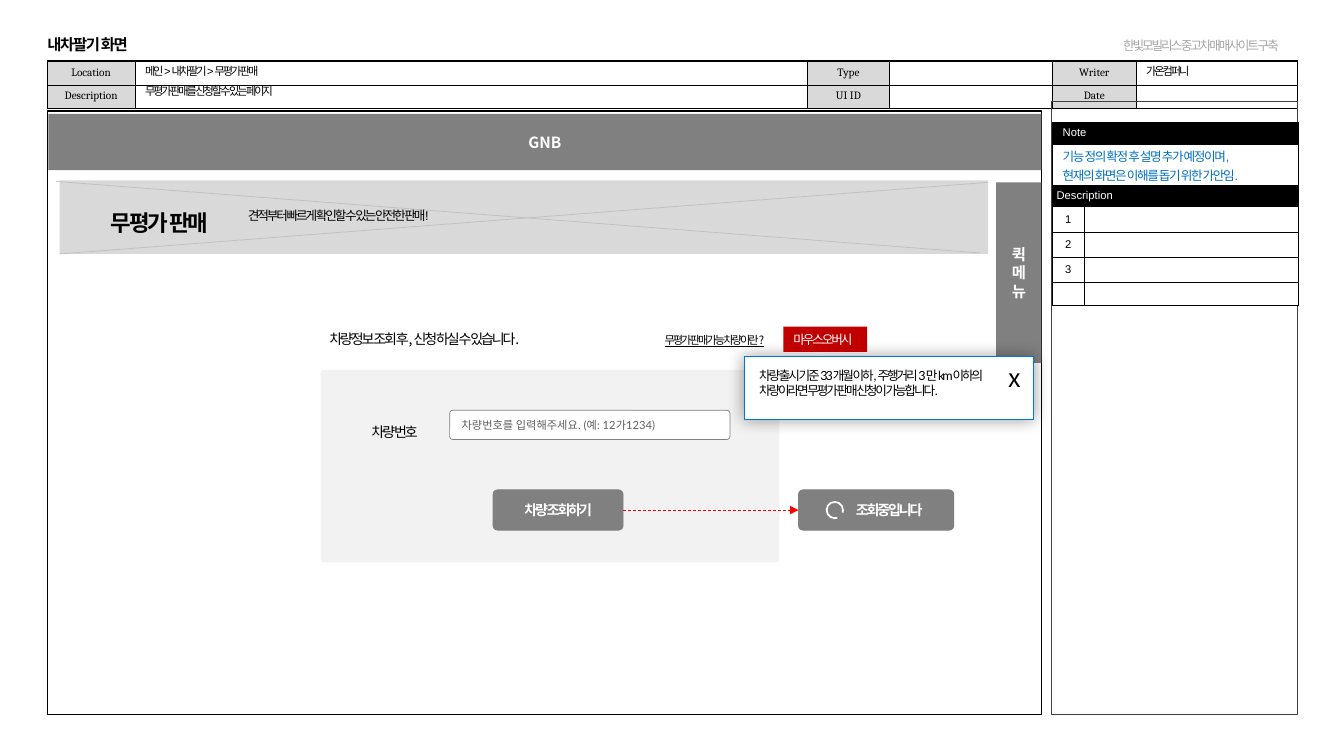
"""Build the wireframe slide of a car selling page."""
from dataclasses import dataclass, field

from lxml.etree import SubElement
from pptx import Presentation
from pptx.dml.color import RGBColor
from pptx.enum.dml import MSO_LINE
from pptx.enum.shapes import MSO_CONNECTOR, MSO_SHAPE
from pptx.enum.text import MSO_ANCHOR, PP_ALIGN
from pptx.oxml import parse_xml
from pptx.oxml.ns import nsdecls, qn
from pptx.util import Inches, Pt

KOREAN = "Noto Sans CJK KR"
LEFT, CENTER = PP_ALIGN.LEFT, PP_ALIGN.CENTER
TOP, MIDDLE = MSO_ANCHOR.TOP, MSO_ANCHOR.MIDDLE
RECTANGLE, ROUNDED = MSO_SHAPE.RECTANGLE, MSO_SHAPE.ROUNDED_RECTANGLE
INSETS = (0.1, 0.05, 0.1, 0.05)
CELL_INSETS = (0.04, 0.03, 0.04, 0.03)
FIELD_INSETS = (0.1, 0, 0.1, 0)


@dataclass(frozen=True)
class Style:
    """Format of a piece of text."""
    size: float = 9
    font: str = KOREAN
    color: str = "000000"
    bold: bool = False
    underline: bool = False
    tracking: float = -1.5
    align: PP_ALIGN = LEFT
    spacing: float | Pt = 1.0
    anchor: MSO_ANCHOR = TOP
    insets: tuple = INSETS
    wrap: bool = True


@dataclass(frozen=True)
class Box:
    """A shape or, without a preset, a text box."""
    place: tuple
    text: str = ""
    style: Style = field(default_factory=Style)
    preset: MSO_SHAPE | None = None
    fill: str | None = None
    line: str | None = None
    line_width: float = 0.5
    adjustments: tuple = ()


FIELD = Style(8, "Arial", spacing=0.9, anchor=MIDDLE, insets=FIELD_INSETS)
BAR = Style(11, color="FFFFFF", bold=True, tracking=0, align=CENTER, anchor=MIDDLE)
BUTTON = Style(10, color="FFFFFF", bold=True, align=CENTER, anchor=MIDDLE)
LOADING = Style(10, color="FFFFFF", bold=True, align=CENTER, anchor=MIDDLE, insets=(0.4, 0.1, 0.14, 0.1))
BODY = Style(10, spacing=1.5)
HEADER = Style(8, "Cambria", tracking=0, align=CENTER, anchor=MIDDLE, insets=CELL_INSETS)
BLANK = Style(8, "Arial", insets=CELL_INSETS)
NOTE_BAR = Style(8, "Arial", "FFFFFF", tracking=0, anchor=MIDDLE, insets=(0.1, 0.03, 0.1, 0.03))
NOTE_TEXT = Style(9, "Arial", "0070C0", tracking=-1, insets=(0.1, 0.03, 0.1, 0))
DESCRIPTION_BAR = Style(8, "Arial", "FFFFFF", tracking=0, anchor=MIDDLE, insets=CELL_INSETS)
NUMBER = Style(8, "Arial", tracking=-1, align=CENTER, anchor=MIDDLE, insets=CELL_INSETS)

FRAMES = [
    Box((10.43, 1, 2.44, 6.09), preset=RECTANGLE, line="404040", line_width=0.25),
    Box((0.47, 1.1, 9.86, 5.99), preset=RECTANGLE, line="000000", line_width=1),
    Box((11.04, 0.33, 1.93, 0.25), "한빛모빌리스 중고차매매사이트 구축",
        Style(9, "Arial", "A6A6A6", wrap=False)),
    Box((3.18, 3.67, 4.55, 1.91), preset=ROUNDED, fill="F2F2F2", adjustments=(0.016,)),
    Box((1.34, 0.61, 6.66, 0.2), "메인 > 내차팔기 > 무평가 판매", FIELD),
    Box((1.34, 0.81, 6.66, 0.2), "무평가 판매를 신청할 수 있는 페이지", FIELD),
    Box((11.27, 0.61, 1.6, 0.2), "가온컴퍼니", FIELD),
    Box((0.48, 1.13, 9.85, 0.56), "GNB", BAR, RECTANGLE, "808080"),
    Box((9.88, 1.81, 0.45, 1.79), "퀵\n메뉴", BAR, RECTANGLE, "808080"),
    Box((0.59, 1.79, 9.21, 0.73), preset=RECTANGLE, fill="D9D9D9"),
]
BANNER_CROSS = [(0.59, 2.52, 9.79, 1.81), (0.56, 1.8, 9.72, 2.51)]
CONTENT = [
    Box((1, 1.89, 2.85, 0.5), "무평가 판매", Style(16, bold=True, spacing=1.5)),
    Box((4.46, 4.07, 2.78, 0.29), "차량번호를 입력해주세요. (예: 12가1234)",
        Style(8, "Lato", "5F5F5F", tracking=0, anchor=MIDDLE, insets=(0.11, 0.07, 0.11, 0.07)),
        ROUNDED, "FFFFFF", "808080", adjustments=(0.108,)),
    Box((3.42, 4.07, 0.99, 0.32), "차량 번호", Style(10, align=CENTER, spacing=1.5)),
    Box((3.17, 3.15, 3.17, 0.35), "차량정보 조회 후, 신청 하실 수 있습니다.", BODY),
    Box((2.36, 2.01, 3.82, 0.25), "견적부터 빠르게 확인할 수 있는 안전한 판매!", Style(9, "Arial")),
    Box((6.33, 3.19, 1.51, 0.3), "무평가 판매 가능 차량이란?",
        Style(8, underline=True, align=CENTER, spacing=1.5)),
]
SEARCH_BUTTON = Box((4.89, 4.86, 1.29, 0.4), "차량 조회하기", BUTTON, ROUNDED, "808080", "808080",
                    adjustments=(0.112,))
LOADING_BUTTON = Box((7.92, 4.86, 1.54, 0.4), "조회중입니다", LOADING, ROUNDED, "808080", "808080",
                     adjustments=(0.112,))
SPINNER = Box((8.19, 4.97, 0.18, 0.18), preset=MSO_SHAPE.BLOCK_ARC, fill="FFFFFF",
              adjustments=(97.2, 64.8, 0.1))
TOOLTIP = Box((7.38, 3.54, 2.87, 0.62), preset=RECTANGLE, fill="FFFFFF", line="0078D7")
TOOLTIP_TEXTS = [
    Box((7.53, 3.65, 2.34, 0.45),
        "차량 출시 기준 33개월 이하, 주행거리 3만 km이하의 \v차량이라면 무평가 판매 신청이 가능합니다.",
        Style(9, "Lato", spacing=Pt(10.8), insets=(0, 0, 0, 0))),
    Box((9.93, 3.54, 0.17, 0.21), "x", Style(18, tracking=0, wrap=False)),
]
HOVER_LABEL = Box((7.77, 3.24, 0.83, 0.25), "마우스오버시", Style(9, color="FFFFFF", wrap=False),
                  RECTANGLE, "C00000")
HEADER_ROWS = [("Location", "", "Type", "", "Writer", ""), ("Description", "", "UI ID", "", "Date", "")]
NOTE_ROWS = [
    (("Note", NOTE_BAR, "000000"),),
    (("기능 정의 확정 후 설명 추가 예정이며,\n현재의 화면은 이해를 돕기 위한 가안임.", NOTE_TEXT, "FFFFFF"),),
    (("Description", DESCRIPTION_BAR, "000000"),),
    *[((number, NUMBER, "FFFFFF"), ("", BLANK, "FFFFFF")) for number in ("1", "2", "3", "")],
]


def color_of(value: str) -> RGBColor:
    """Turn a hex string into a colour."""
    return RGBColor.from_string(value)


def write_text(frame, text: str, style: Style) -> None:
    """Fill a text frame with formatted paragraphs."""
    frame.text = text
    formats = {"size": Pt(style.size), "name": style.font, "bold": style.bold, "underline": style.underline}
    for paragraph in frame.paragraphs:
        paragraph.alignment, paragraph.line_spacing = style.align, style.spacing
        for run in paragraph.runs:
            for name, value in formats.items():
                setattr(run.font, name, value)
            run.font.color.rgb = color_of(style.color)
            properties = run._r.get_or_add_rPr()
            properties.set("spc", str(round(style.tracking * 100)))
            east_asian = parse_xml(f'<a:ea {nsdecls("a")} typeface="{KOREAN}"/>')
            properties.find(qn("a:latin")).addnext(east_asian)
        if not paragraph.runs:
            SubElement(paragraph._p, qn("a:endParaRPr"), sz=str(style.size * 100))


def set_frame(target, style: Style) -> None:
    """Set insets and anchor of a text frame or a cell."""
    sides = ("left", "top", "right", "bottom")
    for side, inset in zip(sides, style.insets):
        setattr(target, f"margin_{side}", Inches(inset))
    target.vertical_anchor = style.anchor


def add_box(slide, box: Box):
    """Draw one box and return its shape."""
    place = [Inches(length) for length in box.place]
    if box.preset is None:
        shape = slide.shapes.add_textbox(*place)
    else:
        shape = slide.shapes.add_shape(box.preset, *place)
        shape.shadow.inherit = False
        for index, value in enumerate(box.adjustments):
            shape.adjustments[index] = value
        for fill, color in ((shape.fill, box.fill), (shape.line.fill, box.line)):
            if color:
                fill.solid()
                fill.fore_color.rgb = color_of(color)
            else:
                fill.background()
        if box.line:
            shape.line.width = Pt(box.line_width)
    if box.text:
        shape.text_frame.word_wrap = box.style.wrap
        set_frame(shape.text_frame, box.style)
        write_text(shape.text_frame, box.text, box.style)
    return shape


def add_line(slide, ends: tuple, color: str, width: float):
    """Draw a straight line without a shadow."""
    line = slide.shapes.add_connector(MSO_CONNECTOR.STRAIGHT, *[Inches(length) for length in ends])
    line.line.color.rgb, line.line.width = color_of(color), Pt(width)
    SubElement(line._element.spPr, qn("a:effectLst"))
    return line


def add_grid(slide, place: tuple, widths: list, heights: list):
    """Add a plain table with the given column widths and row heights."""
    lengths = [Inches(length) for length in (*place, sum(widths), sum(heights))]
    table = slide.shapes.add_table(len(heights), len(widths), *lengths).table
    table.first_row = table.horz_banding = False
    for column, width in zip(table.columns, widths):
        column.width = Inches(width)
    for row, height in zip(table.rows, heights):
        row.height = Inches(height)
    return table


def fill_cell(cell, text: str, style: Style, fill: str) -> None:
    """Write a cell and give it a fill and thin black borders."""
    set_frame(cell, style)
    write_text(cell.text_frame, text, style)
    cell.fill.solid()
    cell.fill.fore_color.rgb = color_of(fill)
    for index, side in enumerate("LRTB"):
        border = parse_xml(f'<a:ln{side} {nsdecls("a")} w="3175"><a:solidFill>'
                           f'<a:srgbClr val="000000"/></a:solidFill></a:ln{side}>')
        cell._tc.get_or_add_tcPr().insert(index, border)


def add_header_table(slide) -> None:
    """Draw the page information table."""
    table = add_grid(slide, (0.47, 0.61), [0.87, 6.67, 0.81, 1.62, 0.83, 1.6], [0.23] * 2)
    for row, texts in enumerate(HEADER_ROWS):
        for column, text in enumerate(texts):
            fill_cell(table.cell(row, column), text, HEADER if text else BLANK, "D9D9D9" if text else "FFFFFF")


def add_note_table(slide) -> None:
    """Draw the note and description table."""
    table = add_grid(slide, (10.44, 1.21), [0.31, 2.13], [0.22, 0.41, 0.21, 0.25, 0.25, 0.25, 0.23])
    for row, cells in enumerate(NOTE_ROWS):
        if len(cells) == 1:
            table.cell(row, 0).merge(table.cell(row, 1))
            fill_cell(table.cell(row, 1), "", BLANK, cells[0][2])
        for column, (text, style, fill) in enumerate(cells):
            fill_cell(table.cell(row, column), text, style, fill)


def add_title(slide) -> None:
    """Place and format the title."""
    title = slide.shapes.title
    places = {"left": 0.47, "top": 0.37, "width": 4.05, "height": 0.17}
    for name, value in places.items():
        setattr(title, name, Inches(value))
    style = Style(11, "Arial", bold=True, tracking=-1, spacing=0.9, insets=(0, 0, 0, 0))
    set_frame(title.text_frame, style)
    write_text(title.text_frame, "내차팔기 화면", style)


def add_search_flow(slide) -> None:
    """Draw the two buttons, the arrow between them and the spinner."""
    search, loading = add_box(slide, SEARCH_BUTTON), add_box(slide, LOADING_BUTTON)
    arrow = add_line(slide, (6.18, 5.06, 7.92, 5.06), "FF0000", 0.5)
    arrow.begin_connect(search, 3)
    arrow.end_connect(loading, 1)
    arrow.line.dash_style = MSO_LINE.DASH
    SubElement(arrow.line._get_or_add_ln(), qn("a:tailEnd"), type="triangle")
    add_box(slide, SPINNER)._element.spPr.xfrm.set("flipH", "1")


def add_tooltip(slide) -> None:
    """Draw the tooltip with its soft shadow."""
    effects = add_box(slide, TOOLTIP)._element.spPr.find(qn("a:effectLst"))
    effects.append(parse_xml(f'<a:outerShdw {nsdecls("a")} blurRad="152400" dist="0" dir="0">'
                             '<a:srgbClr val="000000"><a:alpha val="40000"/></a:srgbClr></a:outerShdw>'))
    for box in TOOLTIP_TEXTS:
        add_box(slide, box)


def main() -> None:
    """Build and save the presentation."""
    presentation = Presentation()
    presentation.slide_width, presentation.slide_height = Inches(13.33), Inches(7.5)
    slide = presentation.slides.add_slide(presentation.slide_layouts[5])
    add_title(slide)
    add_header_table(slide)
    add_line(slide, (0.47, 0.6, 12.87, 0.6), "000000", 0.25)
    for box in FRAMES:
        add_box(slide, box)
    for ends in BANNER_CROSS:
        add_line(slide, ends, "BFBFBF", 0.5)
    for box in CONTENT:
        add_box(slide, box)
    add_search_flow(slide)
    add_tooltip(slide)
    add_note_table(slide)
    add_box(slide, HOVER_LABEL)
    presentation.save("out.pptx")


if __name__ == "__main__":
    main()
